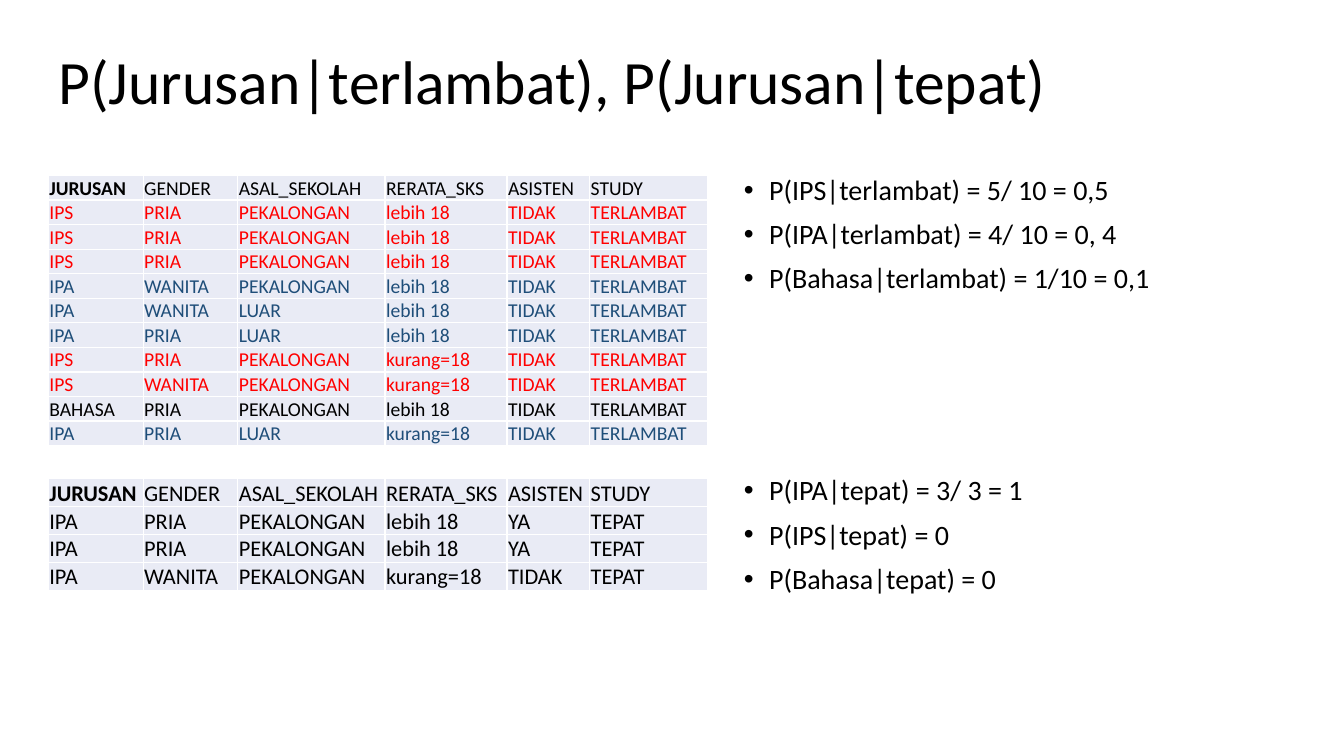
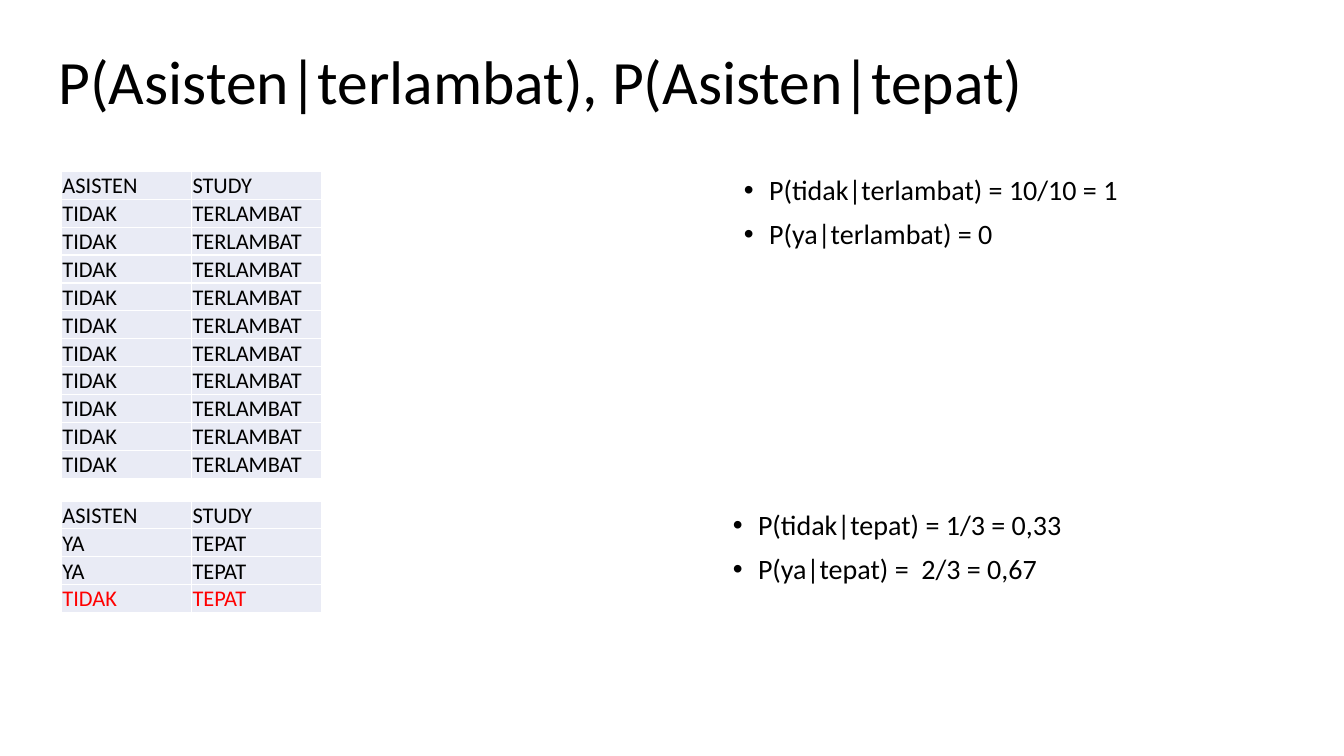
from lxml import etree
from pptx import Presentation
from pptx.dml.color import RGBColor
from pptx.enum.text import MSO_ANCHOR, MSO_AUTO_SIZE, PP_ALIGN
from pptx.oxml.ns import qn
from pptx.util import Inches, Pt

ANCHOR_MIDDLE = MSO_ANCHOR.MIDDLE
ANCHOR_BOTTOM = MSO_ANCHOR.BOTTOM
ALIGN_LEFT = PP_ALIGN.LEFT
AUTO_SIZE_NONE = MSO_AUTO_SIZE.NONE

TITLE_ONLY_LAYOUT = 5
FONT = "Calibri"
COLORS = {
    "text": "000000",
    "red": "FF0000",
    "blue": "1F4E79",
    "cell": "E9EBF5",
    "border": "FFFFFF",
}
BOLD_HEADER = "JURUSAN"
STUDENT_WIDTHS = [0.94, 0.94, 1.46, 1.21, 0.82, 1.17]
ASSISTANT_WIDTHS = [1.29, 1.29]
STUDENT_HEADER = ["JURUSAN", "GENDER", "ASAL_SEKOLAH", "RERATA_SKS", "ASISTEN", "STUDY"]
ASSISTANT_HEADER = ["ASISTEN", "STUDY"]
LATE_STUDENTS = [
    *[["IPS", "PRIA", "PEKALONGAN", "lebih 18"]] * 3,
    ["IPA", "WANITA", "PEKALONGAN", "lebih 18"],
    ["IPA", "WANITA", "LUAR", "lebih 18"],
    ["IPA", "PRIA", "LUAR", "lebih 18"],
    ["IPS", "PRIA", "PEKALONGAN", "kurang=18"],
    ["IPS", "WANITA", "PEKALONGAN", "kurang=18"],
    ["BAHASA", "PRIA", "PEKALONGAN", "lebih 18"],
    ["IPA", "PRIA", "LUAR", "kurang=18"],
]
PUNCTUAL_STUDENTS = [
    *[["IPA", "PRIA", "PEKALONGAN", "lebih 18", "YA", "TEPAT"]] * 2,
    ["IPA", "WANITA", "PEKALONGAN", "kurang=18", "TIDAK", "TEPAT"],
]
LATE_STUDY = ["TIDAK", "TERLAMBAT"]


def style_paragraph(paragraph, size, color="text", bold=False):
    """Apply the shared font to every run of a paragraph."""
    paragraph.alignment = ALIGN_LEFT
    for run in paragraph.runs:
        run.font.name = FONT
        run.font.size = Pt(size)
        run.font.bold = bold
        run.font.color.rgb = RGBColor.from_string(COLORS[color])


def add_titled_slide(presentation, title_text, width):
    """Add a slide with a left-aligned title."""
    slide = presentation.slides.add_slide(presentation.slide_layouts[TITLE_ONLY_LAYOUT])
    title = slide.shapes.title
    title.left, title.top = Inches(0.48), Inches(0.11)
    title.width, title.height = Inches(width), Inches(1.45)
    text_frame = title.text_frame
    text_frame.text = title_text
    text_frame.auto_size = AUTO_SIZE_NONE
    text_frame.vertical_anchor = ANCHOR_MIDDLE
    paragraph = text_frame.paragraphs[0]
    paragraph.line_spacing = 0.9
    style_paragraph(paragraph, 44)
    return slide


def add_bullets(slide, left, top, width, lines):
    """Add a text box with one bulleted paragraph per line."""
    box = slide.shapes.add_textbox(Inches(left), Inches(top), Inches(width), Inches(1.36))
    text_frame = box.text_frame
    text_frame.word_wrap = True
    text_frame.text = "\n".join(lines)
    for paragraph in text_frame.paragraphs:
        paragraph.line_spacing = 0.9
        paragraph.space_before = Pt(10)
        style_paragraph(paragraph, 20)
        properties = paragraph._p.get_or_add_pPr()
        properties.set("marL", str(Inches(0.25)))
        properties.set("indent", str(-Inches(0.25)))
        etree.SubElement(properties, qn("a:buFont"), typeface="Arial")
        etree.SubElement(properties, qn("a:buChar"), char="•")


def add_cell_borders(cell):
    """Draw a thin border on the four sides of a cell."""
    properties = cell._tc.get_or_add_tcPr()
    for side in ("a:lnL", "a:lnR", "a:lnT", "a:lnB"):
        line = etree.SubElement(properties, qn(side), w=str(Pt(1)))
        fill = etree.SubElement(line, qn("a:solidFill"))
        etree.SubElement(fill, qn("a:srgbClr"), val=COLORS["border"])


def fill_cell(cell, text, size, color):
    """Write and format one table cell."""
    cell.text_frame.text = text
    cell.vertical_anchor = ANCHOR_BOTTOM
    cell.margin_left = cell.margin_right = cell.margin_top = Inches(0.01)
    cell.margin_bottom = 0
    add_cell_borders(cell)
    cell.fill.solid()
    cell.fill.fore_color.rgb = RGBColor.from_string(COLORS["cell"])
    style_paragraph(cell.text_frame.paragraphs[0], size, color, text == BOLD_HEADER)


def add_data_table(slide, left, top, height, widths, rows, size=16, row_colors=None):
    """Add a table whose row colour follows the first value of the row."""
    row_colors = row_colors or {}
    frame = slide.shapes.add_table(
        len(rows), len(widths), Inches(left), Inches(top), Inches(sum(widths)), Inches(height)
    )
    table = frame.table
    table.first_row = False
    table.horz_banding = False
    for column, width in zip(table.columns, widths):
        column.width = Inches(width)
    for row, values in zip(table.rows, rows):
        color = row_colors.get(values[0], "text")
        for cell, value in zip(row.cells, values):
            fill_cell(cell, value, size, color)


def build_major_slide(presentation):
    """Build the slide on the probabilities of each major."""
    slide = add_titled_slide(presentation, "P(Jurusan|terlambat), P(Jurusan|tepat)", 11.5)
    add_bullets(slide, 7.28, 1.7, 4.26, [
        "P(IPS|terlambat) = 5/ 10 = 0,5",
        "P(IPA|terlambat) = 4/ 10 = 0, 4",
        "P(Bahasa|terlambat) = 1/10 = 0,1",
    ])
    late_rows = [STUDENT_HEADER] + [student + LATE_STUDY for student in LATE_STUDENTS]
    add_data_table(slide, 0.48, 1.74, 2.64, STUDENT_WIDTHS, late_rows,
                   size=14, row_colors={"IPS": "red", "IPA": "blue"})
    add_data_table(slide, 0.48, 4.75, 1.09, STUDENT_WIDTHS, [STUDENT_HEADER] + PUNCTUAL_STUDENTS)
    add_bullets(slide, 7.28, 4.68, 4.26, [
        "P(IPA|tepat) = 3/ 3 = 1",
        "P(IPS|tepat) = 0",
        "P(Bahasa|tepat) = 0",
    ])


def build_assistant_slide(presentation):
    """Build the slide on the probabilities of being an assistant."""
    slide = add_titled_slide(presentation, "P(Asisten|terlambat), P(Asisten|tepat)", 12.46)
    add_bullets(slide, 7.28, 1.7, 4.98, [
        "P(tidak|terlambat) = 10/10 = 1",
        "P(ya|terlambat) = 0",
    ])
    add_bullets(slide, 7.17, 5.02, 5.2, [
        "P(tidak|tepat) = 1/3 = 0,33",
        "P(ya|tepat) =  2/3 = 0,67",
    ])
    late_rows = [ASSISTANT_HEADER] + [LATE_STUDY] * len(LATE_STUDENTS)
    add_data_table(slide, 0.61, 1.7, 3.01, ASSISTANT_WIDTHS, late_rows)
    punctual_rows = [ASSISTANT_HEADER] + [student[-2:] for student in PUNCTUAL_STUDENTS]
    add_data_table(slide, 0.61, 4.97, 1.09, ASSISTANT_WIDTHS, punctual_rows,
                   row_colors={"TIDAK": "red"})


def main():
    """Create and save the presentation."""
    presentation = Presentation()
    presentation.slide_width = Inches(13.33)
    presentation.slide_height = Inches(7.5)
    build_major_slide(presentation)
    build_assistant_slide(presentation)
    presentation.save("out.pptx")


if __name__ == "__main__":
    main()
